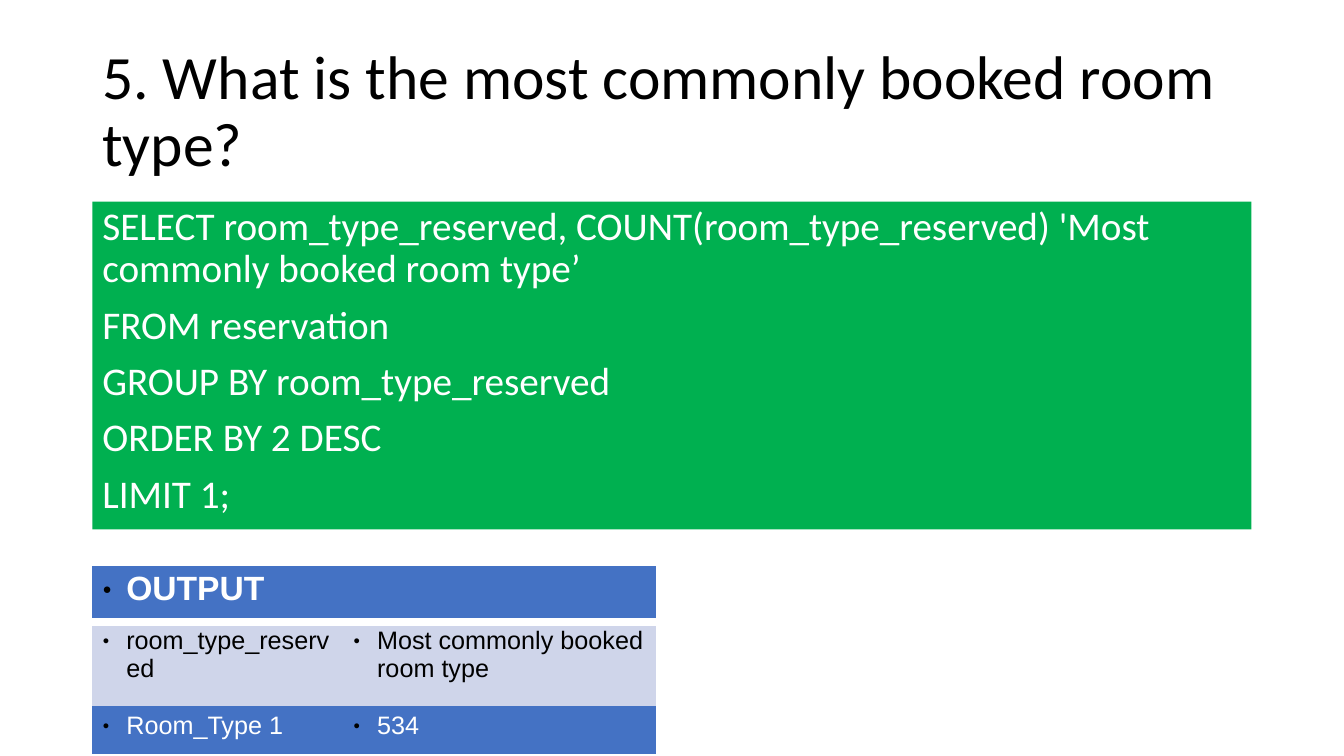
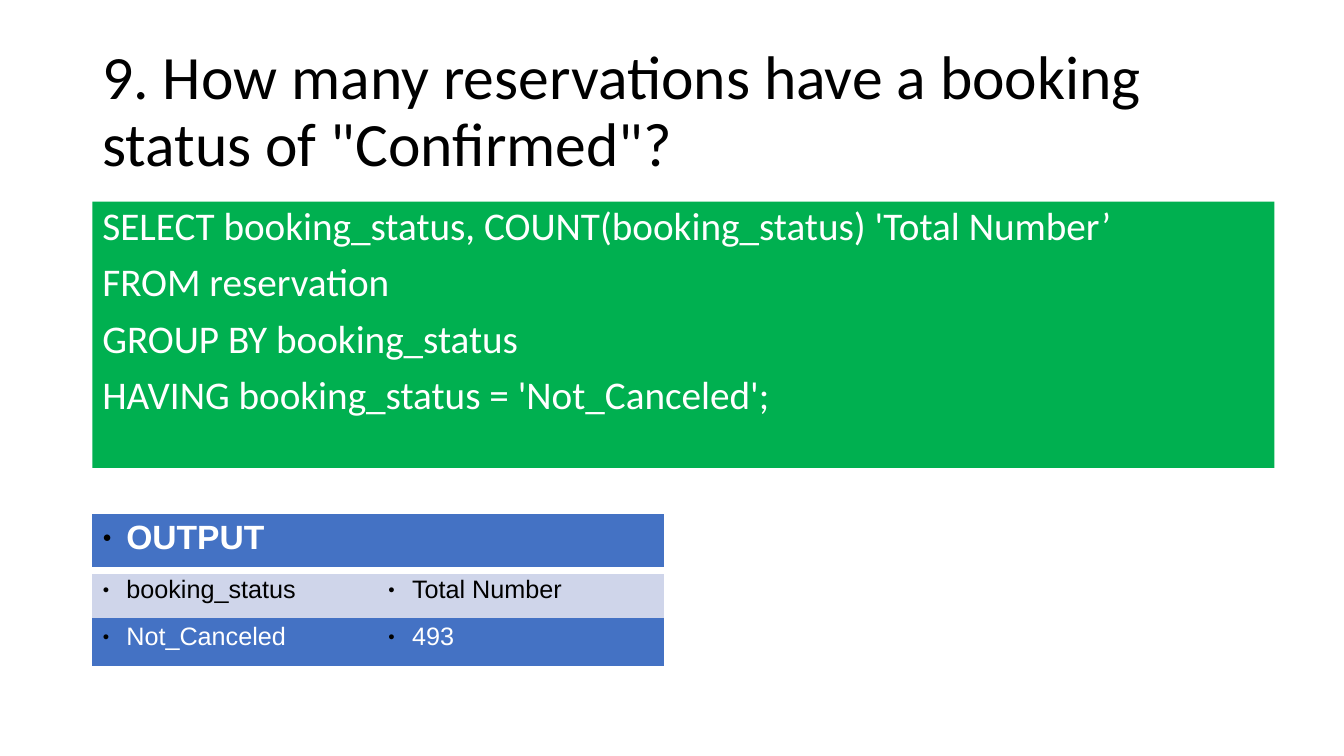
"""Build two slides, each with a question, its SQL query and the query output."""
from lxml.etree import SubElement
from pptx import Presentation
from pptx.dml.color import RGBColor
from pptx.enum.shapes import MSO_SHAPE
from pptx.enum.text import MSO_ANCHOR, PP_ALIGN
from pptx.oxml import parse_xml
from pptx.oxml.ns import nsdecls, qn
from pptx.util import Cm, Pt

BLACK, WHITE = "000000", "FFFFFF"
GREEN, BLUE, PALE_BLUE = "00B050", "4472C4", "CFD5EA"
LEFT = Cm(2.33)
CONTENT_WIDTH = Cm(29.21)
BULLET_INDENT = Cm(0.6)
NO_STYLE_NO_GRID = "{2D5ABB26-0587-4C30-8999-92F81FD0307C}"

TITLE = {"name": "Calibri", "size": Pt(44), "bold": False}
QUERY = {"name": "Calibri", "size": Pt(28), "bold": False}
HEADER = {"name": "Arial", "size": Pt(24), "bold": True}
CELL = {"name": "Arial", "size": Pt(18), "bold": False}
ROW_STYLES = [(HEADER, WHITE, BLUE), (CELL, BLACK, PALE_BLUE), (CELL, WHITE, BLUE)]

SLIDES = [
    {
        "title": "5. What is the most commonly booked room type?",
        "query": [
            "SELECT room_type_reserved, COUNT(room_type_reserved) 'Most commonly booked room type’",
            "FROM reservation",
            "GROUP BY room_type_reserved",
            "ORDER BY 2 DESC",
            "LIMIT 1;",
        ],
        "query_size": (CONTENT_WIDTH, Cm(8.26)),
        "output": [
            ["OUTPUT", ""],
            ["room_type_reserved", "Most commonly booked room type"],
            ["Room_Type 1", "534"],
        ],
        "output_top": Cm(14.25),
        "columns": [Cm(6.32), Cm(7.87)],
        "rows": [Cm(1.42), Cm(2.13), Cm(1.2)],
    },
    {
        "title": "9. How many reservations have a booking status of \"Confirmed\"?",
        "query": [
            "SELECT booking_status, COUNT(booking_status) 'Total Number’",
            "FROM reservation",
            "GROUP BY booking_status",
            "HAVING booking_status = 'Not_Canceled';",
        ],
        "query_size": (Cm(29.79), Cm(6.71)),
        "output": [
            ["OUTPUT", ""],
            ["booking_status", "Total Number"],
            ["Not_Canceled", "493"],
        ],
        "output_top": Cm(12.95),
        "columns": [Cm(7.2), Cm(7.2)],
        "rows": [Cm(1.42), Cm(1.2), Cm(1.2)],
    },
]


def paint(fill, color):
    """Give a fill one solid colour."""
    fill.solid()
    fill.fore_color.rgb = RGBColor.from_string(color)


def write(paragraph, text, style, color):
    """Put formatted text in a paragraph."""
    run = paragraph.add_run()
    run.text = text
    for name, value in style.items():
        setattr(run.font, name, value)
    paint(run.font.fill, color)


presentation = Presentation()
presentation.slide_width = Cm(33.87)
presentation.slide_height = Cm(19.05)

for content in SLIDES:
    slide = presentation.slides.add_slide(presentation.slide_layouts[6])

    title = slide.shapes.add_textbox(LEFT, Cm(1.01), CONTENT_WIDTH, Cm(3.68)).text_frame
    title.word_wrap = True
    title.vertical_anchor = MSO_ANCHOR.MIDDLE
    title.paragraphs[0].line_spacing = 0.9
    write(title.paragraphs[0], content["title"], TITLE, BLACK)

    query_box = slide.shapes.add_shape(
        MSO_SHAPE.RECTANGLE, LEFT, Cm(5.08), *content["query_size"])
    query_box.shadow.inherit = False
    query_box.line.fill.background()
    paint(query_box.fill, GREEN)
    query = query_box.text_frame
    query.word_wrap = True
    query.vertical_anchor = MSO_ANCHOR.TOP
    for index, line in enumerate(content["query"]):
        paragraph = query.add_paragraph() if index else query.paragraphs[0]
        paragraph.alignment = PP_ALIGN.LEFT
        paragraph.line_spacing = 0.9
        if index:
            paragraph.space_before = Pt(10)
        write(paragraph, line, QUERY, WHITE)

    columns, rows = content["columns"], content["rows"]
    table = slide.shapes.add_table(
        len(rows), len(columns), LEFT, content["output_top"], sum(columns), sum(rows)).table
    table.first_row = table.horz_banding = False
    table._tbl.tblPr.find(qn("a:tableStyleId")).text = NO_STYLE_NO_GRID
    for column, width in zip(table.columns, columns):
        column.width = width
    for row, height, texts, (style, color, background) in zip(
            table.rows, rows, content["output"], ROW_STYLES):
        row.height = height
        for cell, text in zip(row.cells, texts):
            paint(cell.fill, background)
            if style is HEADER:
                cell._tc.tcPr.insert(0, parse_xml(
                    f'<a:lnB {nsdecls("a")} w="{Pt(6)}"><a:solidFill>'
                    f'<a:srgbClr val="{WHITE}"/></a:solidFill></a:lnB>'))
            if not text:
                continue
            paragraph = cell.text_frame.paragraphs[0]
            properties = paragraph._p.get_or_add_pPr()
            properties.set("marL", str(BULLET_INDENT))
            properties.set("indent", str(-BULLET_INDENT))
            bullet_color = SubElement(properties, qn("a:buClr"))
            SubElement(bullet_color, qn("a:srgbClr"), val=BLACK)
            SubElement(properties, qn("a:buSzPct"), val="45000")
            SubElement(properties, qn("a:buFont"), typeface="Arial")
            SubElement(properties, qn("a:buChar"), char="●")
            write(paragraph, text, style, color)

presentation.save("out.pptx")
